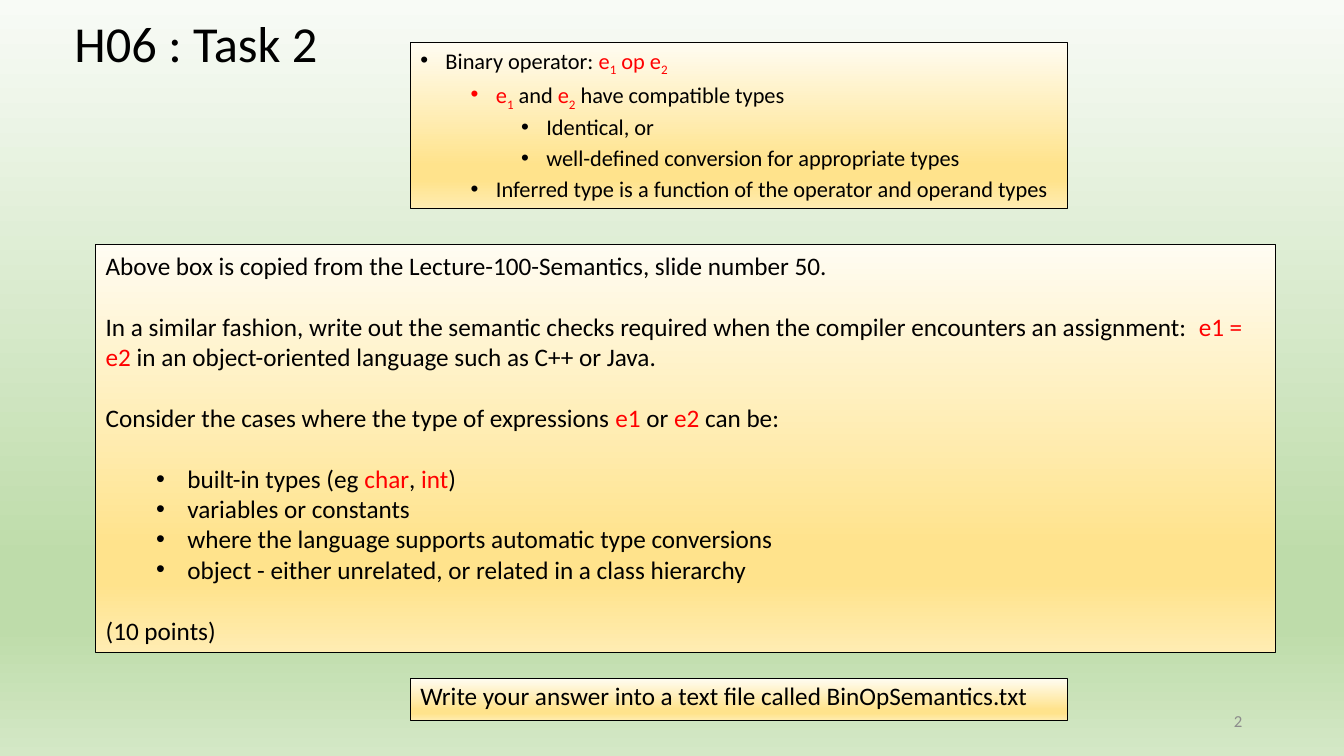
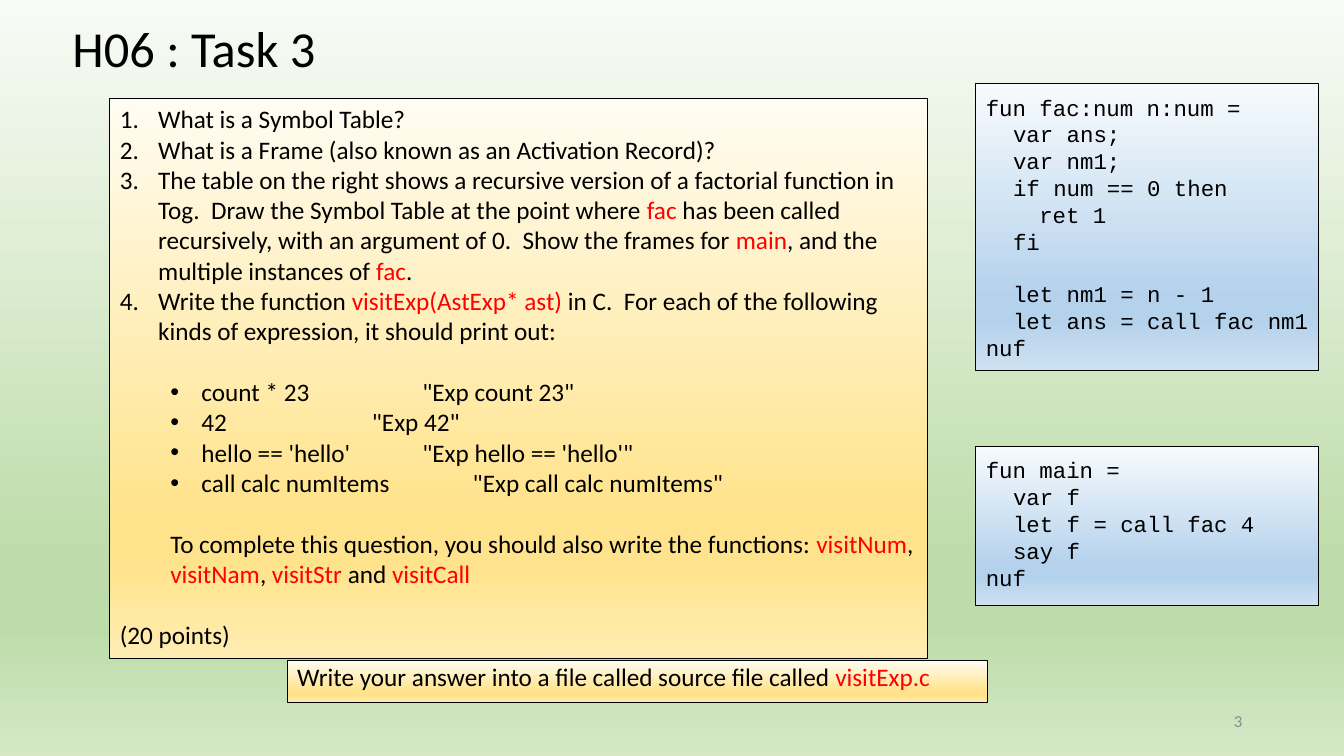
"""Build the two homework task slides, H06 Task 2 and Task 3."""
from lxml.etree import SubElement
from pptx import Presentation
from pptx.dml.color import RGBColor
from pptx.enum.shapes import MSO_SHAPE
from pptx.enum.text import MSO_ANCHOR, PP_ALIGN
from pptx.oxml.ns import qn
from pptx.util import Inches, Pt

GREEN = ["F8FBF6", "BEDCAA", "BEDCAA", "D4E8C6"]
GOLD = ["FFFCF2", "FFE38C", "FFE38C", "FFECB2"]
BLUE = ["F7FAFD", "B5D2EC", "B5D2EC", "CEE1F2"]
BLACK, RED, GREY = [RGBColor.from_string(c) for c in ("000000", "FF0000", "8C8C8C")]
STOPS = [0, 74, 83, 100]
GAP = 22
STYLES = {
    "plain": (0, 0, None),
    "inset": (0.5, 0, None),
    "number": (0.38, -0.38, "auto"),
    "item": (0.81, -0.31, "\u2022"),
    "top": (0.25, -0.25, "\u2022"),
    "sub": (0.75, -0.25, "\u2022"),
    "deep": (1.25, -0.25, "\u2022"),
    "code1": (0.27, 0, None),
    "code2": (0.53, 0, None),
}


def shade(fill, root, hues):
    """Fill with a vertical four-stop gradient."""
    fill.gradient()
    fill.gradient_angle = 270
    stops = root.find(".//" + qn("a:gsLst"))
    stops.clear()
    for pos, hue in zip(STOPS, hues):
        stop = SubElement(stops, qn("a:gs"), pos=str(pos * 1000))
        SubElement(stop, qn("a:srgbClr"), val=hue)


def write(slide, at, lines, size=18, hues=None, font="Calibri", color=BLACK, tight=None):
    """Add a text area; | switches to red and ~ to subscript."""
    at = [Inches(n) for n in at]
    if hues:
        shape = slide.shapes.add_shape(MSO_SHAPE.RECTANGLE, *at)
        shape.shadow.inherit = False
        shade(shape.fill, shape.element, hues)
        shape.line.color.rgb = BLACK
        shape.line.width = Pt(0.75)
    else:
        shape = slide.shapes.add_textbox(*at)
    frame = shape.text_frame
    frame.word_wrap = True
    frame.vertical_anchor = MSO_ANCHOR.TOP
    for n, (style, text, before) in enumerate(lines):
        para = frame.paragraphs[0] if n == 0 else frame.add_paragraph()
        para.alignment = PP_ALIGN.LEFT
        para.space_before = Pt(before)
        if tight:
            para.line_spacing = tight
        left, hang, mark = STYLES[style]
        props = para._p.get_or_add_pPr()
        props.set("marL", str(Inches(left)))
        props.set("indent", str(Inches(hang)))
        if mark == "auto":
            SubElement(props, qn("a:buAutoNum"), type="arabicPeriod")
        elif mark:
            SubElement(props, qn("a:buFont"), typeface="Arial")
            SubElement(props, qn("a:buChar"), char=mark)
        for i, part in enumerate(text.split("|")):
            for j, bit in enumerate(part.split("~")):
                if bit:
                    run = para.add_run()
                    run.text = bit
                    run.font.size = Pt(size)
                    run.font.name = font
                    run.font.color.rgb = RED if i % 2 else color
                    if j % 2:
                        run.font._element.set("baseline", "-25000")
    return frame


deck = Presentation()
deck.slide_width, deck.slide_height = Inches(13.33), Inches(7.5)
master = deck.slide_master
shade(master.background.fill, master.element, GREEN)

slides = []
for title, page, left, top in [("H06 : Task 2", "2", 0.64, 0.07),
                               ("H06 : Task 3", "3", 0.62, 0.12)]:
    slide = deck.slides.add_slide(deck.slide_layouts[6])
    write(slide, (left, top, 11.39, 0.71), [("plain", title, 0)], size=36)
    foot = write(slide, (9.42, 6.95, 3, 0.4), [("plain", page, 0)], size=12, color=GREY)
    foot.vertical_anchor = MSO_ANCHOR.MIDDLE
    foot.paragraphs[0].alignment = PP_ALIGN.RIGHT
    slides.append(slide)
types, table = slides

write(types, (4.07, 0.42, 6.52, 1.65), [
    ("top", "Binary operator: |e~1~ op e~2~", 10),
    ("sub", "|e~1~| and |e~2~| have compatible types", 5),
    ("deep", "Identical, or", 5),
    ("deep", "well-defined conversion for appropriate types", 5),
    ("sub", "Inferred type is a function of the operator and operand types", 5),
], size=16, hues=GOLD, tight=0.9)

write(types, (0.95, 2.43, 11.7, 4.04), [
    ("plain", "Above box is copied from the Lecture-100-Semantics, slide number 50.", 0),
    ("plain", "In a similar fashion, write out the semantic checks required when the compiler "
     "encounters an assignment:  |e1 = e2 |in an object-oriented language such as C++ or Java.", GAP),
    ("plain", "Consider the cases where the type of expressions |e1| or |e2| can be:", GAP),
    ("item", "built-in types (eg |char|, |int|)", GAP),
    ("item", "variables or constants", 0),
    ("item", "where the language supports automatic type conversions", 0),
    ("item", "object - either unrelated, or related in a class hierarchy", 0),
    ("plain", "(10 points)", GAP),
], hues=GOLD)

write(table, (1.09, 0.98, 8.11, 5.55), [
    ("number", "What is a Symbol Table?", 0),
    ("number", "What is a Frame (also known as an Activation Record)?", 0),
    ("number", "The table on the right shows a recursive version of a factorial function in Tog.  "
     "Draw the Symbol Table at the point where |fac |has been called recursively, with an "
     "argument of 0.  Show the frames for |main|, and the multiple instances of |fac|.", 0),
    ("number", "Write the function |visitExp(AstExp* ast)| in C.  For each of the following "
     "kinds of expression, it should print out:", 0),
    ("item", "count * 23\t\t\t\"Exp count 23\"", GAP),
    ("item", "42\t\t\t\"Exp 42\"", 0),
    ("item", "hello == 'hello'\t\t\"Exp hello == 'hello'\"", 0),
    ("item", "call calc numItems\t\t\"Exp call calc numItems\"", 0),
    ("inset", "To complete this question, you should also write the functions: "
     "|visitNum|, |visitNam|, |visitStr |and |visitCall", GAP),
    ("plain", "(20 points)", GAP),
], hues=GOLD)

fac = [
    ("plain", "fun fac:num n:num =", 0),
    ("code1", "var ans;", 0),
    ("code1", "var nm1;", 0),
    ("code1", "if num == 0 then", 0),
    ("code2", "ret 1", 0),
    ("code1", "fi", 0),
    ("code1", "let nm1 = n - 1", 18),
    ("code1", "let ans = call fac nm1", 0),
    ("plain", "nuf", 0),
]
main = [
    ("plain", "fun main =", 0),
    ("code1", "var f", 0),
    ("code1", "let f = call fac 4", 0),
    ("code1", "say f", 0),
    ("plain", "nuf", 0),
]
for top, height, code in [(0.83, 2.85, fac), (4.43, 1.58, main)]:
    frame = write(table, (9.68, top, 3.4, height), code, size=16, hues=BLUE, font="Courier New")
    frame.margin_top = frame.margin_bottom = Inches(0.1)
    frame.margin_right = Inches(0.05)

for slide, at, text in [
    (types, (4.07, 6.73, 6.52, 0.42),
     "Write your answer into a text file called BinOpSemantics.txt"),
    (table, (2.85, 6.55, 6.94, 0.42),
     "Write your answer into a file called source file called |visitExp.c"),
]:
    write(slide, at, [("plain", text, 10)], hues=GOLD, tight=0.9)

deck.save("out.pptx")
